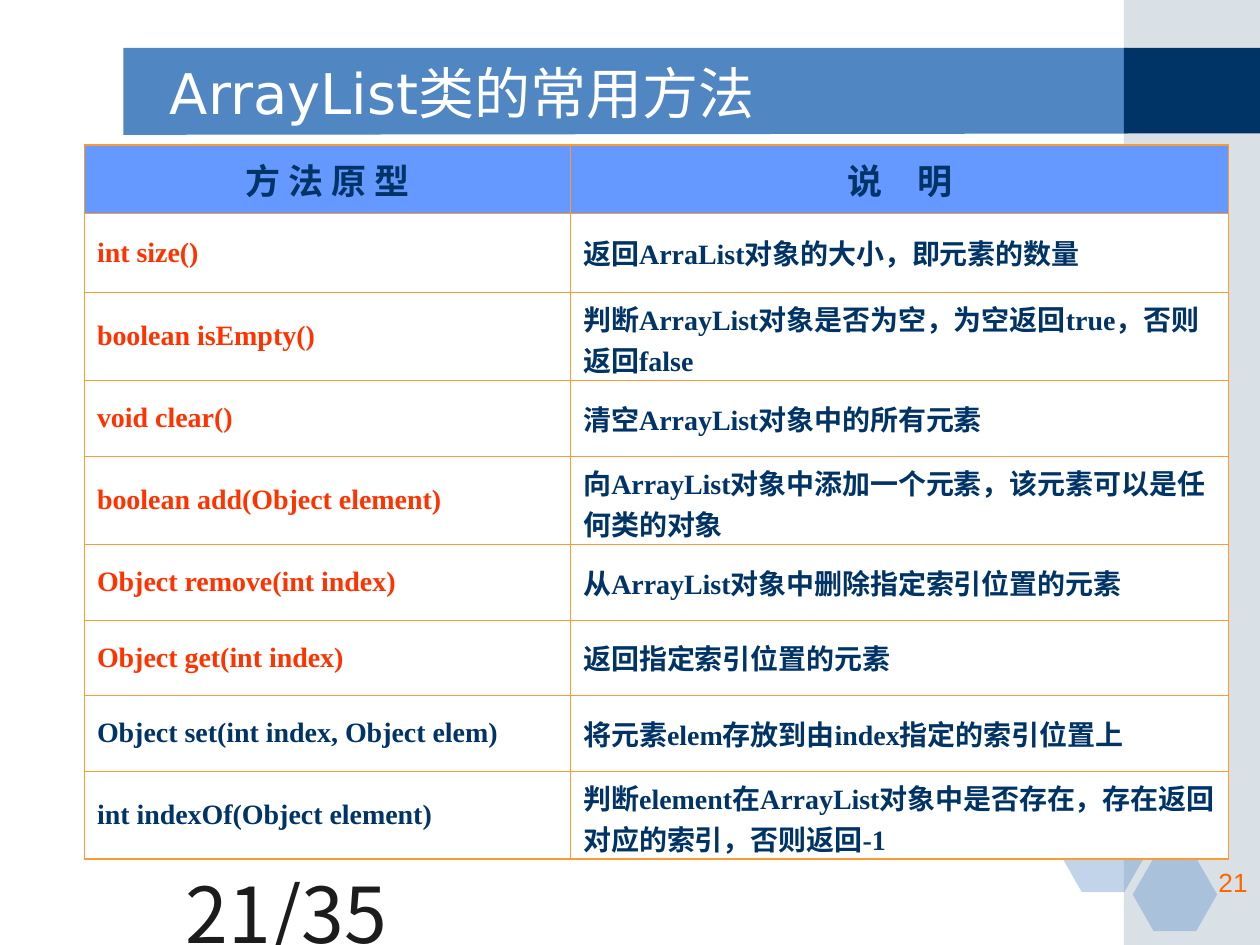
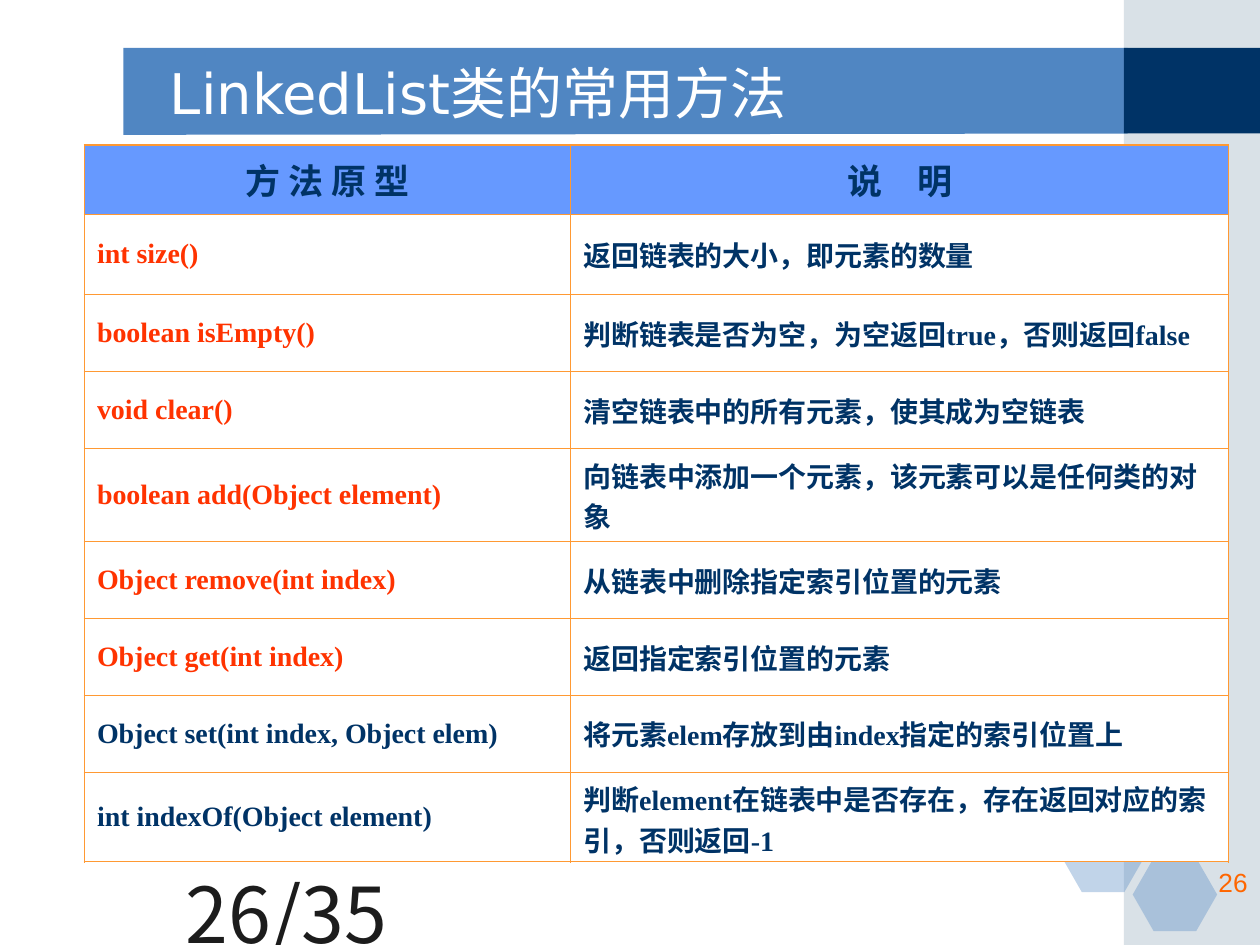
from lxml import etree
from pptx import Presentation
from pptx.dml.color import RGBColor
from pptx.enum.shapes import MSO_SHAPE
from pptx.enum.text import MSO_ANCHOR, PP_ALIGN
from pptx.oxml.ns import qn
from pptx.util import Inches, Pt

RECT, HEXAGON = MSO_SHAPE.RECTANGLE, MSO_SHAPE.HEXAGON
LEFT, CENTER, RIGHT = PP_ALIGN.LEFT, PP_ALIGN.CENTER, PP_ALIGN.RIGHT
TOP, MIDDLE = MSO_ANCHOR.TOP, MSO_ANCHOR.MIDDLE

COLORS = {
    "band": "5086C2", "side": "A0B5C4", "navy": "003366", "white": "FFFFFF",
    "header": "6699FF", "key": "FF3300", "border": "FF9933",
    "page": "1C1C1C", "number": "FF6600",
}
CJK_FONT = "Noto Sans CJK SC"
TOTAL_PAGES = 35
THIN, THICK = Pt(0.45), Pt(1.08)

TITLE_BOX = (1.25, 0.42, 7.33, 0.62)
PAGE_BOX = (0, 6.83, 3.17, 0.5)
NUMBER_BOX = (7.92, 6.83, 2.08, 0.5)
BAND_BOX = (0.98, 0.38, 7.97, 0.69)
SIDE_BOX = (8.92, 0, 1.08, 7.5)
TABLE_BOX = (0.67, 1.15, 9.08, 5.68)
COLUMN_WIDTHS = (3.86, 5.22)
HEXAGONS = ((8.42, 6.5), (9, 6.17), (8.99, 6.81))

HEADERS = ("方 法 原 型", "说　明")
METHODS = (
    "int size()", "boolean isEmpty()", "void clear()",
    "boolean add(Object element)", "Object remove(int index)",
    "Object get(int index)", "Object set(int index, Object elem)",
    "int indexOf(Object element)",
)
KEY_METHODS = METHODS[:6]

PAGES = (
    {
        "number": 21,
        "title": "ArrayList类的常用方法",
        "heights": (0.54, 0.63, 0.7, 0.6, 0.7, 0.6, 0.6, 0.6, 0.7),
        "notes": (
            "返回ArraList对象的大小，即元素的数量",
            "判断ArrayList对象是否为空，为空返回true，否则返回false",
            "清空ArrayList对象中的所有元素",
            "向ArrayList对象中添加一个元素，该元素可以是任何类的对象",
            "从ArrayList对象中删除指定索引位置的元素",
            "返回指定索引位置的元素",
            "将元素elem存放到由index指定的索引位置上",
            "判断element在ArrayList对象中是否存在，存在返回对应的索引，否则返回-1",
        ),
    },
    {
        "number": 26,
        "title": "LinkedList类的常用方法",
        "heights": (0.55, 0.64, 0.61, 0.61, 0.74, 0.61, 0.61, 0.61, 0.71),
        "notes": (
            "返回链表的大小，即元素的数量",
            "判断链表是否为空，为空返回true，否则返回false",
            "清空链表中的所有元素，使其成为空链表",
            "向链表中添加一个元素，该元素可以是任何类的对象",
            "从链表中删除指定索引位置的元素",
            "返回指定索引位置的元素",
            "将元素elem存放到由index指定的索引位置上",
            "判断element在链表中是否存在，存在返回对应的索引，否则返回-1",
        ),
    },
)


def rgb(name):
    return RGBColor.from_string(COLORS[name])


def inches(box):
    return [Inches(v) for v in box]


def write(tf, text, size, font, color, align=LEFT, bold=False):
    tf.text = text
    p = tf.paragraphs[0]
    p.alignment = align
    r = p.runs[0]
    r.font.size, r.font.name, r.font.bold = Pt(size), font, bold
    r.font.color.rgb = rgb(color)
    ea = etree.SubElement(r._r.get_or_add_rPr(), qn("a:ea"))
    ea.set("typeface", CJK_FONT)


def paint(sp, color, alpha=None):
    sp.shadow.inherit = False
    sp.line.fill.background()
    sp.fill.solid()
    sp.fill.fore_color.rgb = rgb(color)
    if alpha:
        clr = sp._element.spPr.find(qn("a:solidFill"))[0]
        etree.SubElement(clr, qn("a:alpha")).set("val", str(alpha * 1000))


def add_text(s, box, text, size, font, color, align=LEFT, anchor=TOP):
    tf = s.shapes.add_textbox(*inches(box)).text_frame
    tf.word_wrap = True
    tf.vertical_anchor = anchor
    write(tf, text, size, font, color, align)


def add_title_band(s, box):
    """Band whose lower edge rises slightly to the right."""
    x, y, w, h = inches(box)
    fb = s.shapes.build_freeform(x, y)
    fb.add_line_segments([(x + w, y), (x + w, y + h - Inches(0.01)), (x, y + h)])
    paint(fb.convert_to_shape(), "band")


def add_side_strip(s, box):
    x, y, w, h = box
    paint(s.shapes.add_shape(RECT, *inches(box)), "side", 40)
    paint(s.shapes.add_shape(RECT, *inches((x, y + 0.38, w, 0.68))), "navy")


def add_hexagons(s):
    for x, y in HEXAGONS:
        sp = s.shapes.add_shape(HEXAGON, *inches((x, y, 0.67, 0.58)))
        sp.adjustments[0] = 0.286
        paint(sp, "band", 35)


def set_borders(cell, widths):
    """Draw the left, right, top and bottom borders, in that order."""
    tcPr = cell._tc.get_or_add_tcPr()
    for i, (side, width) in enumerate(zip("LRTB", widths)):
        ln = etree.Element(qn(f"a:ln{side}"), w=str(int(width)))
        fill = etree.SubElement(ln, qn("a:solidFill"))
        etree.SubElement(fill, qn("a:srgbClr"), val=COLORS["border"])
        tcPr.insert(i, ln)


def add_method_table(s, box, heights, notes):
    rows = [HEADERS, *zip(METHODS, notes)]
    last_row, last_col = len(rows) - 1, len(HEADERS) - 1
    tbl = s.shapes.add_table(len(rows), len(HEADERS), *inches(box)).table
    tbl.first_row = tbl.horz_banding = False
    for col, width in zip(tbl.columns, COLUMN_WIDTHS):
        col.width = Inches(width)
    for i, (row, height) in enumerate(zip(rows, heights)):
        tbl.rows[i].height = Inches(height)
        for j, text in enumerate(row):
            cell = tbl.cell(i, j)
            cell.vertical_anchor = MIDDLE
            cell.fill.solid()
            cell.fill.fore_color.rgb = rgb("white" if i else "header")
            if i:
                color = "key" if text in KEY_METHODS else "navy"
                write(cell.text_frame, text, 16, "Times New Roman", color, bold=True)
            else:
                write(cell.text_frame, text, 20, "Courier New", "navy", CENTER, True)
            edges = (j == 0, j == last_col, i == 0, i == last_row)
            set_borders(cell, [THICK if edge else THIN for edge in edges])


def add_page(prs, page):
    s = prs.slides.add_slide(prs.slide_layouts[6])
    number = page["number"]
    add_title_band(s, BAND_BOX)
    add_side_strip(s, SIDE_BOX)
    add_hexagons(s)
    add_text(s, TITLE_BOX, page["title"], 32, "DejaVu Sans", "white", anchor=MIDDLE)
    add_text(s, PAGE_BOX, f"{number}/{TOTAL_PAGES}", 44, CJK_FONT, "page", RIGHT)
    add_text(s, NUMBER_BOX, str(number), 15, "Arial", "number", RIGHT)
    add_method_table(s, TABLE_BOX, page["heights"], page["notes"])


def main():
    prs = Presentation()
    prs.slide_width, prs.slide_height = Inches(10), Inches(7.5)
    for page in PAGES:
        add_page(prs, page)
    prs.save("out.pptx")


if __name__ == "__main__":
    main()
